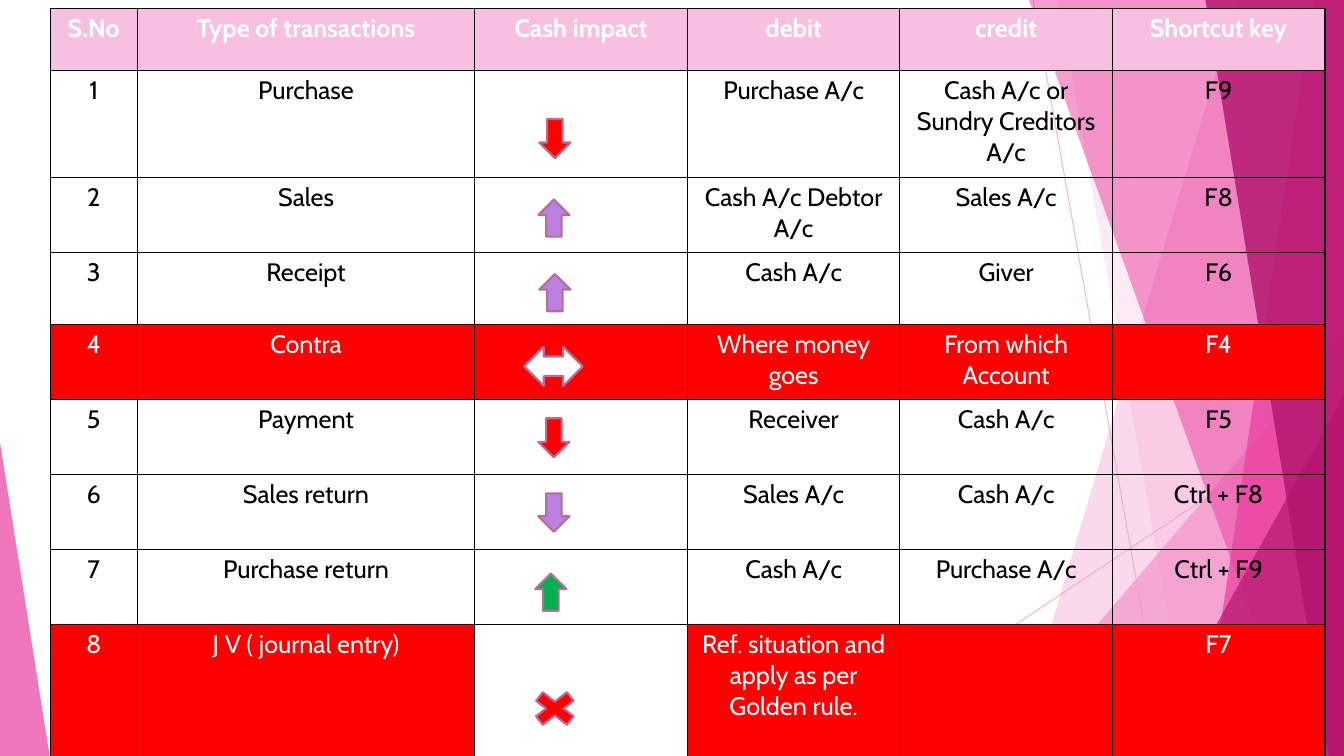
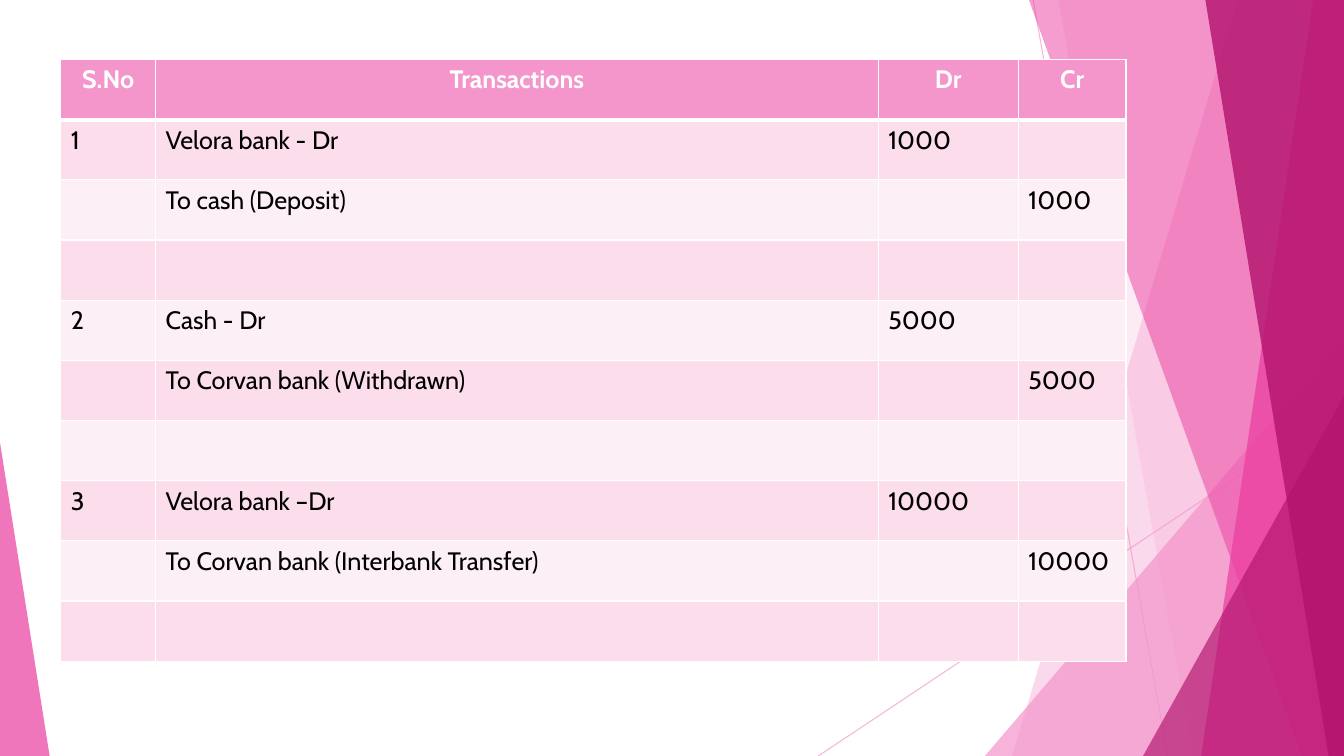
from dataclasses import dataclass

from lxml.etree import SubElement
from pptx import Presentation
from pptx.dml.color import RGBColor
from pptx.enum.shapes import MSO_CONNECTOR, MSO_SHAPE
from pptx.enum.text import PP_ALIGN
from pptx.oxml.ns import qn
from pptx.util import Pt

WIDTH, HEIGHT = 960, 540
FONT = "Cabin"
NO_STYLE = "{2D5ABB26-0587-4C30-8999-92F81FD0307C}"
WHITE = RGBColor(0xFF, 0xFF, 0xFF)
BLACK = RGBColor(0x00, 0x00, 0x00)
RED = RGBColor(0xFF, 0x00, 0x00)
GREEN = RGBColor(0x00, 0xB0, 0x50)
LILAC = RGBColor(0xBC, 0x80, 0xE0)
MAUVE = RGBColor(0xB5, 0x6F, 0x96)
PINK = RGBColor(0xF4, 0x96, 0xCB)
ROSE = RGBColor(0xEB, 0x3D, 0x9F)
PLUM = RGBColor(0xB2, 0x13, 0x6D)
HEAD = RGBColor(0xF8, 0xC0, 0xE0)
TINT = RGBColor(0xFB, 0xDD, 0xEC)
PALE = RGBColor(0xFD, 0xEF, 0xF6)


@dataclass(frozen=True)
class Ray:
    x1: float
    y1: float
    x2: float
    y2: float


@dataclass(frozen=True)
class Band:
    top: float
    base: float
    color: RGBColor
    alpha: int


@dataclass(frozen=True)
class Wedge:
    left: float
    top: float
    width: float
    peak: int
    color: RGBColor
    alpha: int


@dataclass(frozen=True)
class Mark:
    kind: MSO_SHAPE
    left: float
    top: float
    width: float
    height: float
    color: RGBColor


@dataclass(frozen=True)
class Style:
    fill: RGBColor | None
    ink: RGBColor
    bold: bool = False


@dataclass(frozen=True)
class Grid:
    left: float
    top: float
    cols: list[float]
    rows: list[float]
    cells: list[list[str]]
    edge: RGBColor
    rule: float
    align: PP_ALIGN


RAYS = [Ray(738, 0, 834, HEIGHT), Ray(WIDTH, 290, 584.5, HEIGHT)]
BACKDROP = [
    Band(884, 723, PINK, 36),
    Band(756, 852, PINK, 20),
    Wedge(703.5, 240, 256.5, 1, PINK, 72),
    Band(735, 929.5, ROSE, 50),
    Band(938, 858, ROSE, 70),
    Band(861, 949, PLUM, 80),
    Wedge(816.5, 283, 143.5, 1, PLUM, 66),
    Wedge(0, 316, 35.5, 0, ROSE, 70),
]

VOUCHERS = Grid(
    36, 5.8,
    [62, 241.2] + [151.8] * 4,
    [44.5, 76.5, 53.6, 51.2] + [53.6] * 4 + [99.4],
    [
        ["S.No", "Type of transactions", "Cash impact", "debit", "credit",
         "Shortcut key"],
        ["1", "Purchase", "", "Purchase A/c",
         "Cash A/c or Sundry Creditors A/c", "F9"],
        ["2", "Sales", "", "Cash A/c Debtor A/c", "Sales A/c", "F8"],
        ["3", "Receipt", "", "Cash A/c", "Giver", "F6"],
        ["4", "Contra", "", "Where money goes", "From which\nAccount", "F4"],
        ["5", "Payment", "", "Receiver", "Cash A/c", "F5"],
        ["6", "Sales return", "", "Sales A/c", "Cash A/c", "Ctrl + F8"],
        ["7", "Purchase return", "", "Cash A/c", "Purchase A/c", "Ctrl + F9"],
        ["8", "J V ( journal entry)", "",
         "Ref. situation and apply as per Golden rule.", "", "F7"],
    ],
    BLACK, 1, PP_ALIGN.CENTER,
)

ENTRIES = Grid(
    43.4, 42.5,
    [67.7, 516.2, 100.1, 77],
    [43] * 10,
    [
        ["S.No", "Transactions", "Dr", "Cr"],
        ["1", "Velora bank - Dr", "1000", ""],
        ["", "To cash (Deposit)", "", "1000"],
        [""] * 4,
        ["2", "Cash - Dr", "5000", ""],
        ["", "To Corvan bank (Withdrawn)", "", "5000"],
        [""] * 4,
        ["3", "Velora bank –Dr", "10000", ""],
        ["", "To Corvan bank (Interbank Transfer)", "", "10000"],
        [""] * 4,
    ],
    WHITE, 3, PP_ALIGN.LEFT,
)

UP, DOWN = MSO_SHAPE.UP_ARROW, MSO_SHAPE.DOWN_ARROW
MARKS = [
    Mark(DOWN, 385.2, 85, 22.3, 28, RED),
    Mark(UP, 384.5, 142.5, 22.3, 26.6, LILAC),
    Mark(UP, 385.2, 195.8, 22.3, 26.6, LILAC),
    Mark(MSO_SHAPE.LEFT_RIGHT_ARROW, 374.4, 247.7, 41.8, 28, WHITE),
    Mark(DOWN, 384.5, 298.8, 22.3, 28, RED),
    Mark(DOWN, 384.5, 352.4, 22.3, 27.4, LILAC),
    Mark(UP, 382.3, 409.7, 22.3, 26.6, GREEN),
    Mark(MSO_SHAPE.MATH_MULTIPLY, 375.1, 489.6, 42.5, 33.1, RED),
]


def fade(shape, alpha: int) -> None:
    for tone in shape._element.spPr.iter(qn("a:srgbClr")):
        SubElement(tone, qn("a:alpha"), val=str(alpha * 1000))


def paint(shape, color: RGBColor) -> None:
    shape.shadow.inherit = False
    shape.fill.solid()
    shape.fill.fore_color.rgb = color


def draw_ray(slide, ray: Ray) -> None:
    line = slide.shapes.add_connector(
        MSO_CONNECTOR.STRAIGHT,
        Pt(ray.x1), Pt(ray.y1), Pt(ray.x2), Pt(ray.y2))
    line.line.color.rgb = PINK
    line.line.width = Pt(0.75)
    fade(line, 70)
    SubElement(line._element.spPr, qn("a:effectLst"))


def draw_panel(slide, item: Band | Wedge) -> None:
    if isinstance(item, Band):
        pen = slide.shapes.build_freeform(item.top, 0, scale=Pt(1))
        pen.add_line_segments(
            [(WIDTH, 0), (WIDTH, HEIGHT), (item.base, HEIGHT)])
        shape = pen.convert_to_shape()
    else:
        shape = slide.shapes.add_shape(
            MSO_SHAPE.ISOSCELES_TRIANGLE, Pt(item.left), Pt(item.top),
            Pt(item.width), Pt(HEIGHT - item.top))
        shape.adjustments[0] = item.peak
    paint(shape, item.color)
    shape.line.fill.background()
    fade(shape, item.alpha)


def draw_mark(slide, mark: Mark) -> None:
    shape = slide.shapes.add_shape(
        mark.kind, Pt(mark.left), Pt(mark.top),
        Pt(mark.width), Pt(mark.height))
    paint(shape, mark.color)
    shape.line.color.rgb = MAUVE
    shape.line.width = Pt(1.5)


def set_edges(cell, color: RGBColor, top: float, base: float) -> None:
    props = cell._tc.get_or_add_tcPr()
    for side, width in (("L", 1), ("R", 1), ("T", top), ("B", base)):
        line = SubElement(props, qn(f"a:ln{side}"), w=str(Pt(width)))
        fill = SubElement(line, qn("a:solidFill"))
        SubElement(fill, qn("a:srgbClr"), val=str(color))


def set_cell(cell, text: str, style: Style, align: PP_ALIGN) -> None:
    if style.fill is None:
        cell.fill.background()
    else:
        cell.fill.solid()
        cell.fill.fore_color.rgb = style.fill
    cell.text = text
    for para in cell.text_frame.paragraphs:
        para.alignment = align
        para.font.name = FONT
        para.font.size = Pt(18)
        para.font.bold = style.bold
        para.font.color.rgb = style.ink


def draw_grid(slide, grid: Grid, pick) -> None:
    frame = slide.shapes.add_table(
        len(grid.rows), len(grid.cols), Pt(grid.left), Pt(grid.top),
        Pt(sum(grid.cols)), Pt(sum(grid.rows)))
    table = frame.table
    table._tbl.tblPr.find(qn("a:tableStyleId")).text = NO_STYLE
    table.horz_banding = False
    for col, width in zip(table.columns, grid.cols):
        col.width = Pt(width)
    for row, height in zip(table.rows, grid.rows):
        row.height = Pt(height)
    for r, texts in enumerate(grid.cells):
        for c, text in enumerate(texts):
            cell = table.cell(r, c)
            set_edges(cell, grid.edge, grid.rule if r == 1 else 1,
                      grid.rule if r == 0 else 1)
            align = PP_ALIGN.CENTER if r == 0 else grid.align
            set_cell(cell, text, pick(r, c), align)


def voucher_style(row: int, col: int) -> Style:
    if row == 0:
        return Style(HEAD, WHITE, True)
    if row in (4, 8) and (row, col) != (8, 2):
        return Style(RED, WHITE)
    return Style(None, BLACK)


def entry_style(row: int, col: int) -> Style:
    if row == 0:
        return Style(PINK, WHITE, True)
    return Style(TINT if row % 2 else PALE, BLACK)


def new_slide(deck):
    slide = deck.slides.add_slide(deck.slide_layouts[6])
    for ray in RAYS:
        draw_ray(slide, ray)
    for item in BACKDROP:
        draw_panel(slide, item)
    return slide


def main() -> None:
    deck = Presentation()
    deck.slide_width, deck.slide_height = Pt(WIDTH), Pt(HEIGHT)
    slide = new_slide(deck)
    draw_grid(slide, VOUCHERS, voucher_style)
    for mark in MARKS:
        draw_mark(slide, mark)
    draw_grid(new_slide(deck), ENTRIES, entry_style)
    deck.save("out.pptx")


if __name__ == "__main__":
    main()
